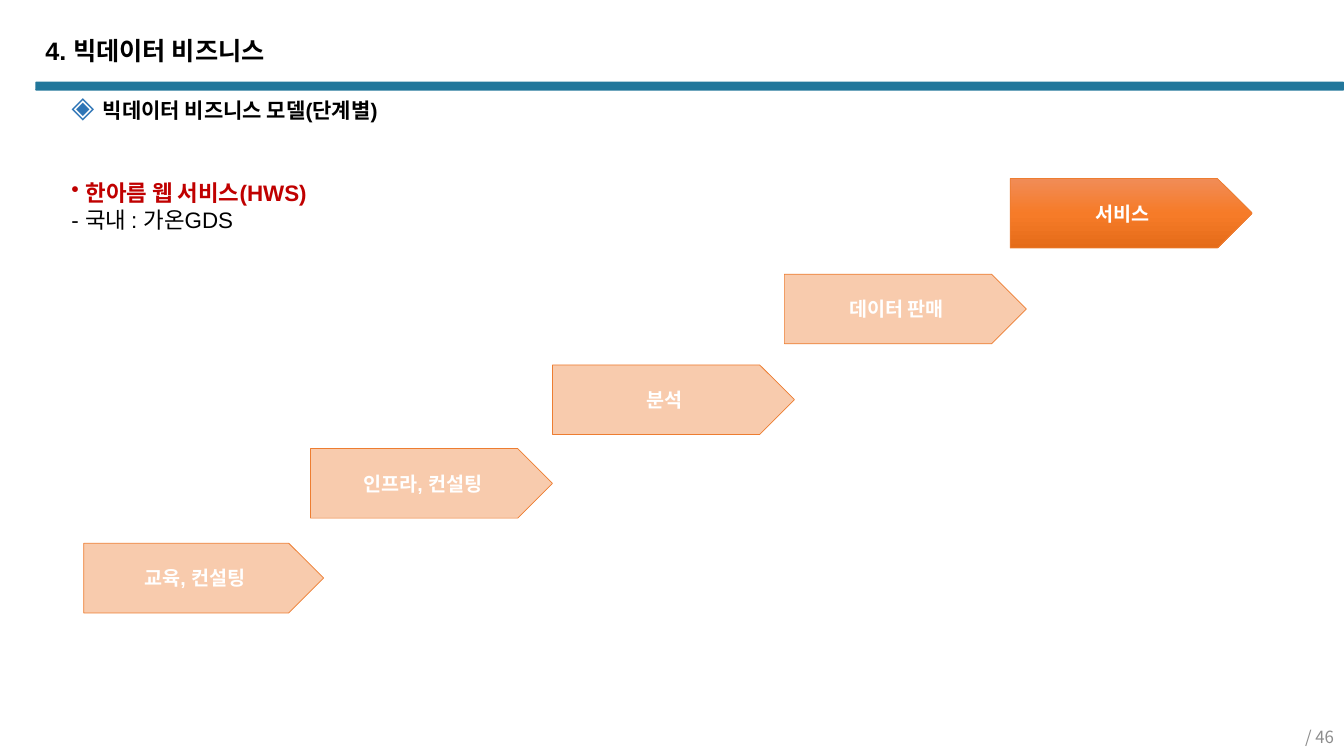
from copy import deepcopy

from lxml import etree
from pptx import Presentation
from pptx.dml.color import RGBColor
from pptx.enum.shapes import MSO_SHAPE
from pptx.enum.text import MSO_ANCHOR, PP_ALIGN
from pptx.oxml.ns import qn
from pptx.util import Inches, Pt

PENTAGON = MSO_SHAPE.PENTAGON
ROUNDED = MSO_SHAPE.ROUNDED_RECTANGLE
TOP, MIDDLE = MSO_ANCHOR.TOP, MSO_ANCHOR.MIDDLE
LEFT, CENTER, RIGHT = PP_ALIGN.LEFT, PP_ALIGN.CENTER, PP_ALIGN.RIGHT

BLACK, WHITE, RED, GRAY = "000000", "FFFFFF", "C00000", "8C8C8C"
TEAL, BLUE, ORANGE, PEACH = "22779B", "2E75B6", "ED7D31", "F8CBAD"
ACTIVE_STOPS = ((0, "F18C57"), (0.5, "F67B28"), (1, "E56C19"))
STEPS = (
    ("교육, 컨설팅", 0.83, 5.39, 2.38),
    ("인프라, 컨설팅", 3.08, 4.45, 2.4),
    ("분석", 5.48, 3.62, 2.4),
    ("데이터 판매", 7.78, 2.72, 2.4),
    ("서비스", 10.02, 1.77, 2.4),
)


def color(value):
    """Turn a hex string into a colour."""
    return RGBColor.from_string(value)


def style(para, size, tint, bold=False, align=LEFT, font="Arial"):
    """Format a paragraph and its runs."""
    para.alignment = align
    for span in para.runs:
        span.font.name, span.font.size = font, Pt(size)
        span.font.bold, span.font.color.rgb = bold, color(tint)


def add_bullet(para, mark, indent, tint=None, percent=None):
    """Give a paragraph a hanging bullet."""
    properties = para._p.get_or_add_pPr()
    properties.set("marL", str(Inches(indent)))
    properties.set("indent", str(-Inches(indent)))
    if tint:
        bullet_color = etree.SubElement(properties, qn("a:buClr"))
        etree.SubElement(bullet_color, qn("a:srgbClr"), val=tint)
    if percent:
        etree.SubElement(properties, qn("a:buSzPct"), val=str(percent * 1000))
    etree.SubElement(properties, qn("a:buChar"), char=mark)


def set_margins(frame, horizontal, vertical):
    """Set the inner margins of a text frame."""
    frame.margin_left = frame.margin_right = Inches(horizontal)
    frame.margin_top = frame.margin_bottom = Inches(vertical)


def add_text(page, box, text):
    """Add a wrapping text box and return its frame."""
    frame = page.shapes.add_textbox(*map(Inches, box)).text_frame
    frame.word_wrap = True
    frame.text = text
    return frame


def fill_gradient(shape, stops):
    """Fill a shape from top to bottom through three colours."""
    shape.fill.gradient()
    shape.fill.gradient_angle = 270
    stop_list = shape._element.spPr.find(qn("a:gradFill")).find(qn("a:gsLst"))
    stop_list.insert(1, deepcopy(stop_list[0]))
    for stop, (position, tint) in zip(shape.fill.gradient_stops, stops):
        stop.position, stop.color.rgb = position, color(tint)


def add_header(page, box):
    """Place the title and the bar beneath it."""
    left, top, width, height = box
    bar = page.shapes.add_shape(
        ROUNDED, *map(Inches, (left, top + height - 0.09, width, 0.09)))
    bar.adjustments[0] = 0.13
    bar.shadow.inherit = False
    bar.fill.solid()
    bar.fill.fore_color.rgb = color(TEAL)
    bar.line.fill.background()

    title = page.shapes.title
    title.left, title.top = Inches(left), Inches(top)
    title.width, title.height = Inches(7.9), Inches(0.47)
    frame = title.text_frame
    frame.text = "4. 빅데이터 비즈니스"
    frame.vertical_anchor = TOP
    set_margins(frame, 0.1, 0.05)
    frame.paragraphs[0].line_spacing = 0.9
    style(frame.paragraphs[0], 18, BLACK, bold=True)


def add_heading(page, box):
    """Place the section heading with its diamond bullet."""
    frame = add_text(page, box, "빅데이터 비즈니스 모델(단계별)")
    set_margins(frame, 0, 0)
    add_bullet(frame.paragraphs[0], "◈", 0.31, BLUE, 140)
    style(frame.paragraphs[0], 15, BLACK, bold=True)


def add_example(page, box):
    """Place the example provider and its domestic counterpart."""
    frame = add_text(page, box, "한아름 웹 서비스(HWS)\n- 국내 : 가온GDS")
    provider, domestic = frame.paragraphs
    add_bullet(provider, "•", 0.14)
    style(provider, 16, RED, bold=True)
    style(domestic, 16, BLACK)


def add_step(page, box, label, active):
    """Place one arrow of the staircase."""
    arrow = page.shapes.add_shape(PENTAGON, *map(Inches, box))
    arrow.shadow.inherit = False
    if active:
        fill_gradient(arrow, ACTIVE_STOPS)
    else:
        arrow.fill.solid()
        arrow.fill.fore_color.rgb = color(PEACH)
    arrow.line.color.rgb = color(ORANGE)
    arrow.line.width = Pt(0.5)
    frame = arrow.text_frame
    frame.text = label
    frame.vertical_anchor = MIDDLE
    set_margins(frame, 0.1, 0)
    style(frame.paragraphs[0], 14, WHITE, bold=True, align=CENTER)


def add_page_count(page, box):
    """Place the page count in the corner."""
    frame = add_text(page, box, "/ 46")
    frame.vertical_anchor = MIDDLE
    style(frame.paragraphs[0], 12, GRAY, align=RIGHT, font="Noto Sans CJK KR")


def main():
    """Build the slide and save the deck."""
    deck = Presentation()
    deck.slide_width, deck.slide_height = Inches(13.33), Inches(7.5)
    page = deck.slides.add_slide(deck.slide_layouts[5])
    add_header(page, (0.35, 0.33, 12.98, 0.57))
    add_heading(page, (0.71, 0.97, 8.78, 0.25))
    for label, left, top, width in STEPS:
        add_step(page, (left, top, width, 0.69), label, label == STEPS[-1][0])
    add_example(page, (0.61, 1.73, 4.69, 0.64))
    add_page_count(page, (10.22, 7.19, 3.11, 0.23))
    deck.save("out.pptx")


if __name__ == "__main__":
    main()
